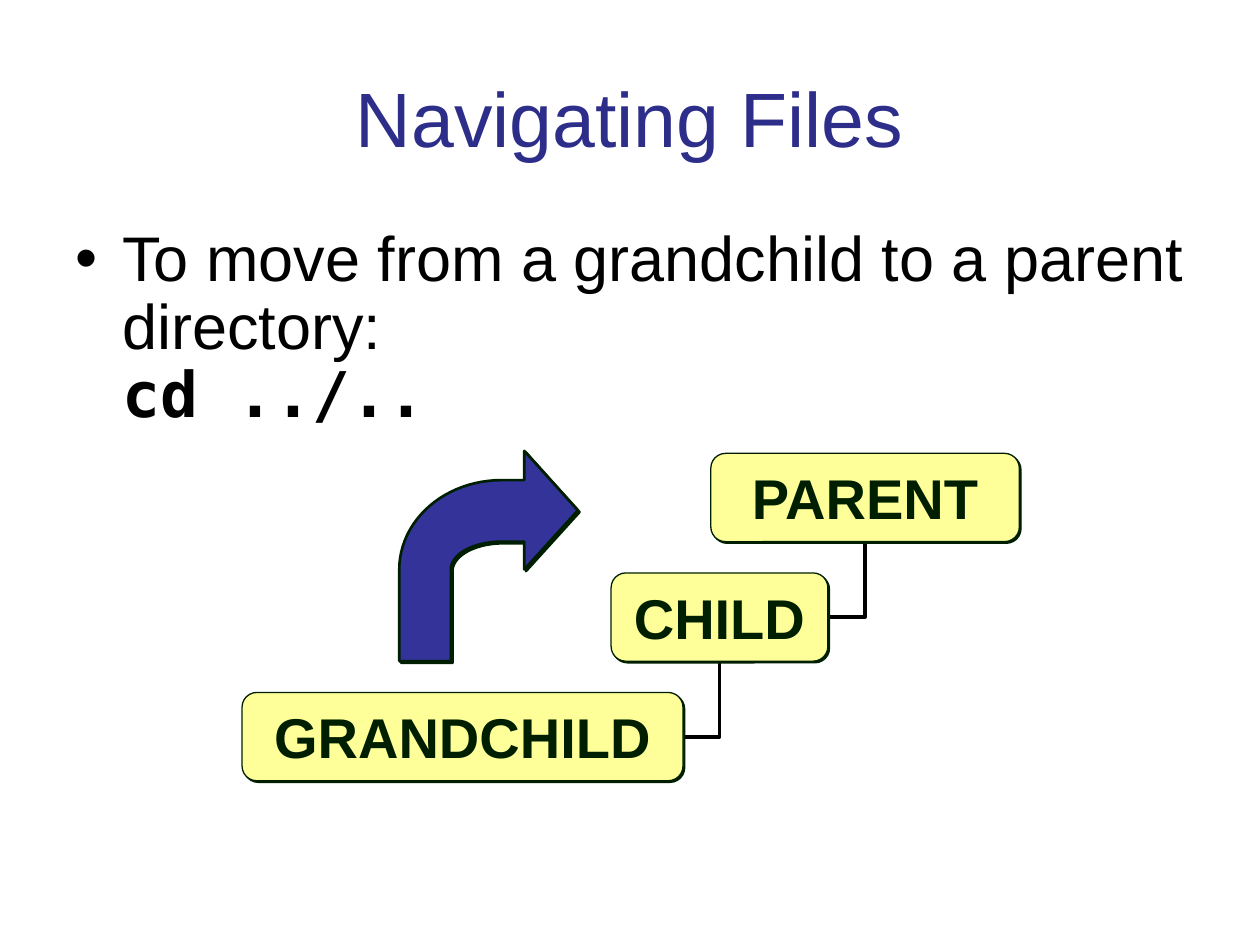
from itertools import pairwise
from math import cos, pi, sin

from lxml import etree
from pptx import Presentation
from pptx.dml.color import RGBColor
from pptx.enum.shapes import MSO_CONNECTOR, MSO_SHAPE
from pptx.enum.text import MSO_ANCHOR, PP_ALIGN
from pptx.oxml.ns import qn
from pptx.util import Cm, Pt

ELBOW = MSO_CONNECTOR.ELBOW
ROUND = MSO_SHAPE.ROUNDED_RECTANGLE
MIDDLE = MSO_ANCHOR.MIDDLE
CENTER = PP_ALIGN.CENTER

BLACK, DARK, YELLOW = "000000", "001F00", "FFFF99"
TITLE, BLUE = "2D2D8A", "333399"
SANS, MONO = "Arial", "DejaVu Sans Mono"

TOP, STEP, HIGH = 9.14, 2.41, 1.78
BOXES = [("PARENT", 14.33, 6.22), ("CHILD", 12.32, 4.37), ("GRANDCHILD", 4.88, 8.89)]


def color(value):
    """Turn a hex string into a colour."""
    return RGBColor.from_string(value)


def write(para, text, size=36, font=SANS, shade=BLACK, bold=False, align=None):
    """Add one formatted run to a paragraph."""
    run = para.add_run()
    run.text = text
    run.font.size = Pt(size)
    run.font.name = font
    run.font.bold = bold
    run.font.color.rgb = color(shade)
    if align is not None:
        para.alignment = align


def place(shape, left, top, width, height):
    """Set the position and size of a shape."""
    shape.left, shape.top = Cm(left), Cm(top)
    shape.width, shape.height = Cm(width), Cm(height)


def shade(shape):
    """Give a shape a small hard shadow to the lower right."""
    shape.shadow.inherit = False
    effect = shape._element.spPr.find(qn("a:effectLst"))
    outer = etree.SubElement(effect, qn("a:outerShdw"), dist=str(Pt(1.4)),
                             dir="2700000", algn="ctr", rotWithShape="0")
    etree.SubElement(outer, qn("a:srgbClr"), val=DARK)


def paint(shape, fill, width):
    """Set the fill, outline and shadow of a shape."""
    shape.fill.solid()
    shape.fill.fore_color.rgb = color(fill)
    shape.line.color.rgb = color(DARK)
    shape.line.width = Pt(width)
    shade(shape)


def add_title(slide, text):
    """Fill the title placeholder."""
    title = slide.shapes.title
    place(title, 1.27, 0.76, 22.86, 3.18)
    frame = title.text_frame
    frame.vertical_anchor = MIDDLE
    write(frame.paragraphs[0], text, size=44, shade=TITLE, align=CENTER)


def add_body(slide, text, code):
    """Add the bulleted text with its command below."""
    box = slide.shapes.add_textbox(0, 0, 0, 0)
    place(box, 1.27, 4.45, 22.86, 12.57)
    box.text_frame.word_wrap = True
    para = box.text_frame.paragraphs[0]
    para.line_spacing = 0.9
    props = para._p.get_or_add_pPr()
    props.set("marL", str(Cm(0.95)))
    props.set("indent", str(Cm(-0.95)))
    etree.SubElement(props, qn("a:buFont"), typeface=SANS)
    etree.SubElement(props, qn("a:buChar"), char="•")
    write(para, text)
    para.add_line_break()
    write(para, code, font=MONO, bold=True)


def add_box(group, text, left, top, width):
    """Add a rounded directory box."""
    box = group.shapes.add_shape(ROUND, Cm(left), Cm(top), Cm(width), Cm(HIGH))
    box.adjustments[0] = 0.167
    paint(box, YELLOW, 0.75)
    frame = box.text_frame
    frame.word_wrap = False
    frame.vertical_anchor = MIDDLE
    write(frame.paragraphs[0], text, size=32, shade=DARK, bold=True, align=CENTER)


def add_elbow(group, left, low, right, high):
    """Add a one-bend line that runs right and then up."""
    line = group.shapes.add_connector(ELBOW, Cm(left), Cm(low), Cm(right), Cm(high))
    line.line.color.rgb = color(BLACK)
    line.line.width = Pt(2.25)
    props = line._element.spPr
    props.find(qn("a:prstGeom")).set("prst", "bentConnector2")
    etree.SubElement(props, qn("a:effectLst"))


def arc(wide, high, steps=24):
    """List the points of the arrow's bend, from its left to its top."""
    turns = [pi / 2 * i / steps for i in range(steps + 1)]
    return [(10.11 - wide * cos(t), 11.48 - high * sin(t)) for t in turns]


def add_arrow(group):
    """Add the curved block arrow."""
    head = [(10.57, 9.68), (10.57, 9.09), (11.65, 10.29), (10.57, 11.48), (10.57, 10.92)]
    points = [(8.05, 13.33), *arc(2.06, 1.8), *head, *arc(1.02, 0.56)[::-1], (9.09, 13.33)]
    spots = [(Cm(x), Cm(y)) for x, y in points]
    path = group.shapes.build_freeform(*spots[0])
    path.add_line_segments(spots[1:], close=True)
    paint(path.convert_to_shape(), BLUE, 1.5)


def add_tree(slide):
    """Add the directory steps and the arrow as one group."""
    group = slide.shapes.add_group_shape()
    rows = [(*box, TOP + i * STEP) for i, box in enumerate(BOXES)]
    for (_, left, width, top), (_, start, span, low) in pairwise(rows):
        add_elbow(group, start + span, low + HIGH / 2, left + width / 2, top + HIGH)
    for text, left, width, top in rows:
        add_box(group, text, left, top, width)
    add_arrow(group)


def main():
    """Build and save the slide."""
    deck = Presentation()
    deck.slide_width, deck.slide_height = Cm(25.4), Cm(19.05)
    slide = deck.slides.add_slide(deck.slide_layouts[5])
    add_title(slide, "Navigating Files")
    add_body(slide, "To move from a grandchild to a parent directory:", "cd ../..")
    add_tree(slide)
    deck.save("out.pptx")


if __name__ == "__main__":
    main()
